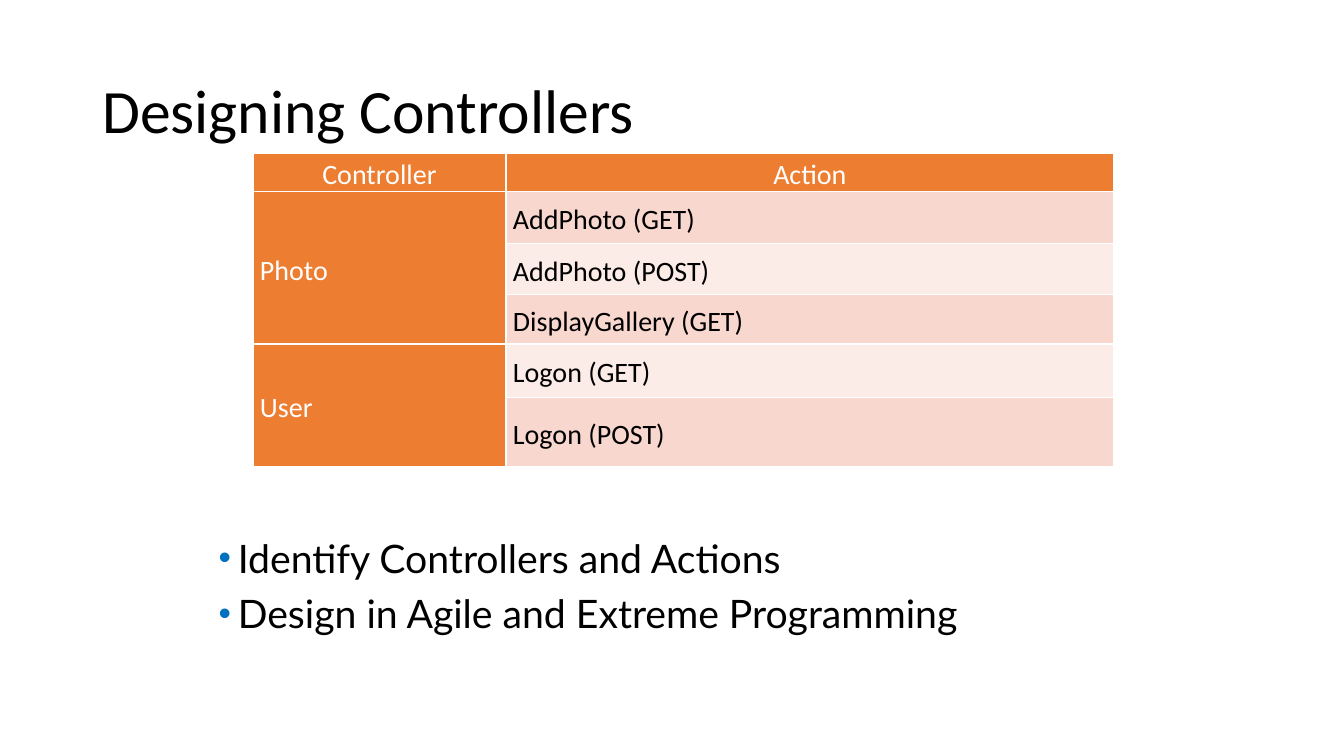
from dataclasses import dataclass

import pptx
import pptx.dml.color
import pptx.enum.text
import pptx.oxml
import pptx.oxml.ns
import pptx.util
from lxml import etree

Pt = pptx.util.Pt
RGB = pptx.dml.color.RGBColor
Align = pptx.enum.text.PP_ALIGN
Anchor = pptx.enum.text.MSO_ANCHOR
qn = pptx.oxml.ns.qn


@dataclass(frozen=True)
class Theme:
    dark: str = "000000"
    light: str = "FFFFFF"
    accent: str = "ED7D31"
    bands: tuple[str, str] = ("F8D7CE", "FCECE8")
    bullet: str = "0070C0"
    font: str = "Calibri"
    list_font: str = "Lato"
    title_size: float = 44
    list_size: float = 28
    table_size: float = 20


@dataclass(frozen=True)
class Controller:
    name: str
    actions: list[str]


THEME = Theme()
CONTROLLERS = [
    Controller("Photo", ["AddPhoto (GET)", "AddPhoto (POST)", "DisplayGallery (GET)"]),
    Controller("User", ["Logon (GET)", "Logon (POST)"]),
]
COLUMN_WIDTHS = [180.7, 434.2]
ROW_HEIGHTS = [24.5, 36.7, 36.7, 35.3, 38.2, 49.7]
POINTS = ["Identify Controllers and Actions", "Design in Agile and Extreme Programming"]


def format_runs(p, font: str, size: float, color: str) -> None:
    for r in p.runs:
        r.font.name = font
        r.font.size = Pt(size)
        r.font.bold = False
        r.font.color.rgb = RGB.from_string(color)


def add_color(parent, tag: str, color: str) -> None:
    etree.SubElement(etree.SubElement(parent, qn(tag)), qn("a:srgbClr"), val=color)


def add_title(slide, text: str) -> None:
    sp = slide.shapes.add_textbox(Pt(66), Pt(28.8), Pt(828), Pt(104.4))
    tf = sp.text_frame
    tf.word_wrap = True
    tf.vertical_anchor = Anchor.MIDDLE
    tf.text = text
    tf.paragraphs[0].line_spacing = 0.9
    format_runs(tf.paragraphs[0], THEME.font, THEME.title_size, THEME.dark)


def add_bullets(slide, points: list[str]) -> None:
    sp = slide.shapes.add_textbox(Pt(156.2), Pt(381.6), Pt(639.4), Pt(103.7))
    tf = sp.text_frame
    tf.word_wrap = True
    tf.margin_left = tf.margin_top = tf.margin_right = tf.margin_bottom = 0
    tf.text = "\n".join(points)
    for p in tf.paragraphs:
        p.space_before = Pt(6)
        format_runs(p, THEME.list_font, THEME.list_size, THEME.dark)
        pPr = p._p.get_or_add_pPr()
        pPr.set("marL", str(Pt(13.7)))
        pPr.set("indent", str(Pt(-13.7)))
        add_color(pPr, "a:buClr", THEME.bullet)
        etree.SubElement(pPr, qn("a:buSzPct"), val="90000")
        etree.SubElement(pPr, qn("a:buFont"), typeface="Arial")
        etree.SubElement(pPr, qn("a:buChar"), char="•")


def style_cell(cell, fill: str) -> None:
    cell.margin_left = cell.margin_right = Pt(5)
    cell.margin_top = cell.margin_bottom = 0
    cell.vertical_anchor = Anchor.MIDDLE
    # Borders come before the fill in the cell properties
    tcPr = cell._tc.get_or_add_tcPr()
    for side in "LRTB":
        line = etree.SubElement(tcPr, qn(f"a:ln{side}"), w=str(Pt(1)))
        add_color(line, "a:solidFill", THEME.light)
    cell.fill.solid()
    cell.fill.fore_color.rgb = RGB.from_string(fill)


def write_cell(cell, text: str, color: str, align=Align.LEFT) -> None:
    cell.text = text
    p = cell.text_frame.paragraphs[0]
    p.alignment = align
    p.line_spacing = 1.15
    format_runs(p, THEME.font, THEME.table_size, color)


def add_controller_table(slide, controllers: list[Controller]) -> None:
    table = slide.shapes.add_table(
        len(ROW_HEIGHTS), len(COLUMN_WIDTHS), Pt(180.7), Pt(109.4),
        Pt(sum(COLUMN_WIDTHS)), Pt(sum(ROW_HEIGHTS))).table
    for column, width in zip(table.columns, COLUMN_WIDTHS):
        column.width = Pt(width)
    for row, height in zip(table.rows, ROW_HEIGHTS):
        row.height = Pt(height)

    # Header row and first column are solid, action cells are banded
    for i in range(len(ROW_HEIGHTS)):
        style_cell(table.cell(i, 0), THEME.accent)
        style_cell(table.cell(i, 1), THEME.bands[(i - 1) % 2] if i else THEME.accent)
    for j, heading in enumerate(["Controller", "Action"]):
        write_cell(table.cell(0, j), heading, THEME.light, Align.CENTER)

    # One merged name cell beside each controller's actions
    top = 1
    for controller in controllers:
        bottom = top + len(controller.actions)
        table.cell(top, 0).merge(table.cell(bottom - 1, 0))
        write_cell(table.cell(top, 0), controller.name, THEME.light)
        for i, action in enumerate(controller.actions, top):
            write_cell(table.cell(i, 1), action, THEME.dark)
        top = bottom


def main() -> None:
    prs = pptx.Presentation()
    prs.slide_width, prs.slide_height = Pt(960), Pt(540)
    slide = prs.slides.add_slide(prs.slide_layouts[6])
    add_title(slide, "Designing Controllers")
    add_bullets(slide, POINTS)
    add_controller_table(slide, CONTROLLERS)
    prs.save("out.pptx")


if __name__ == "__main__":
    main()
